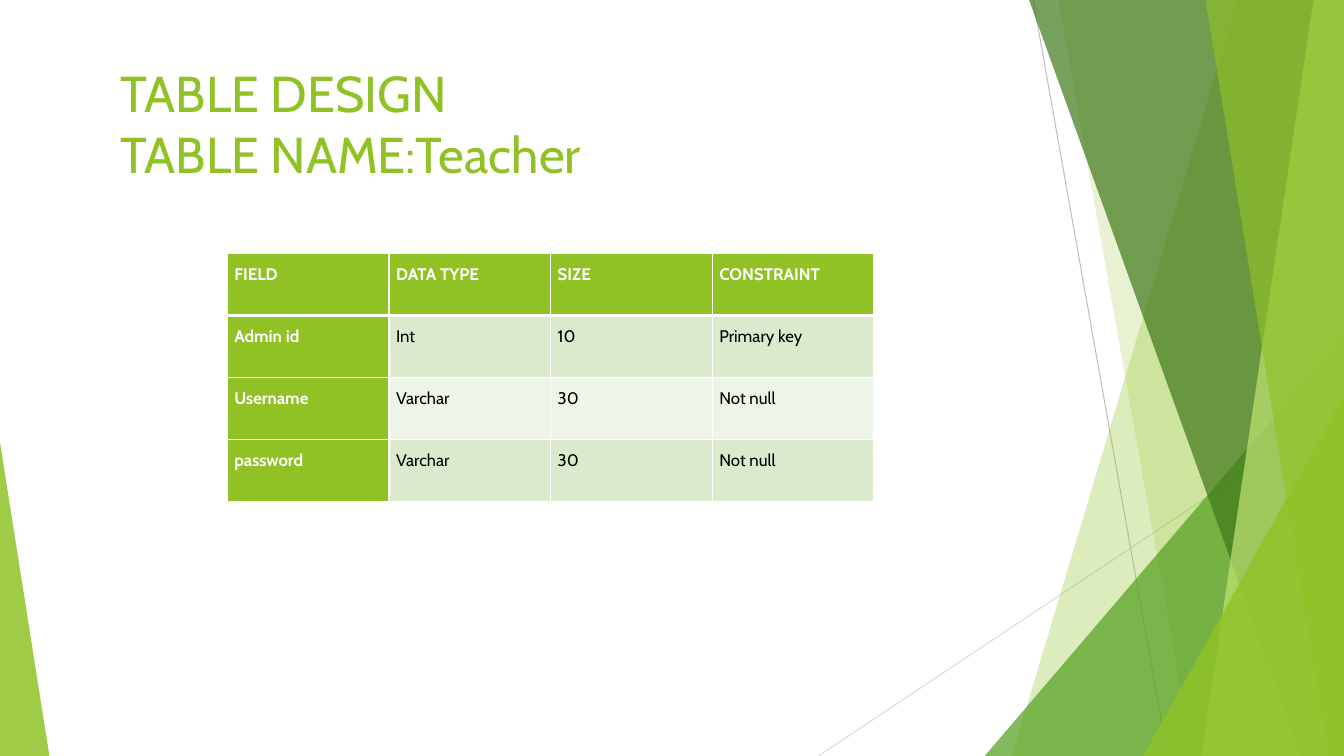
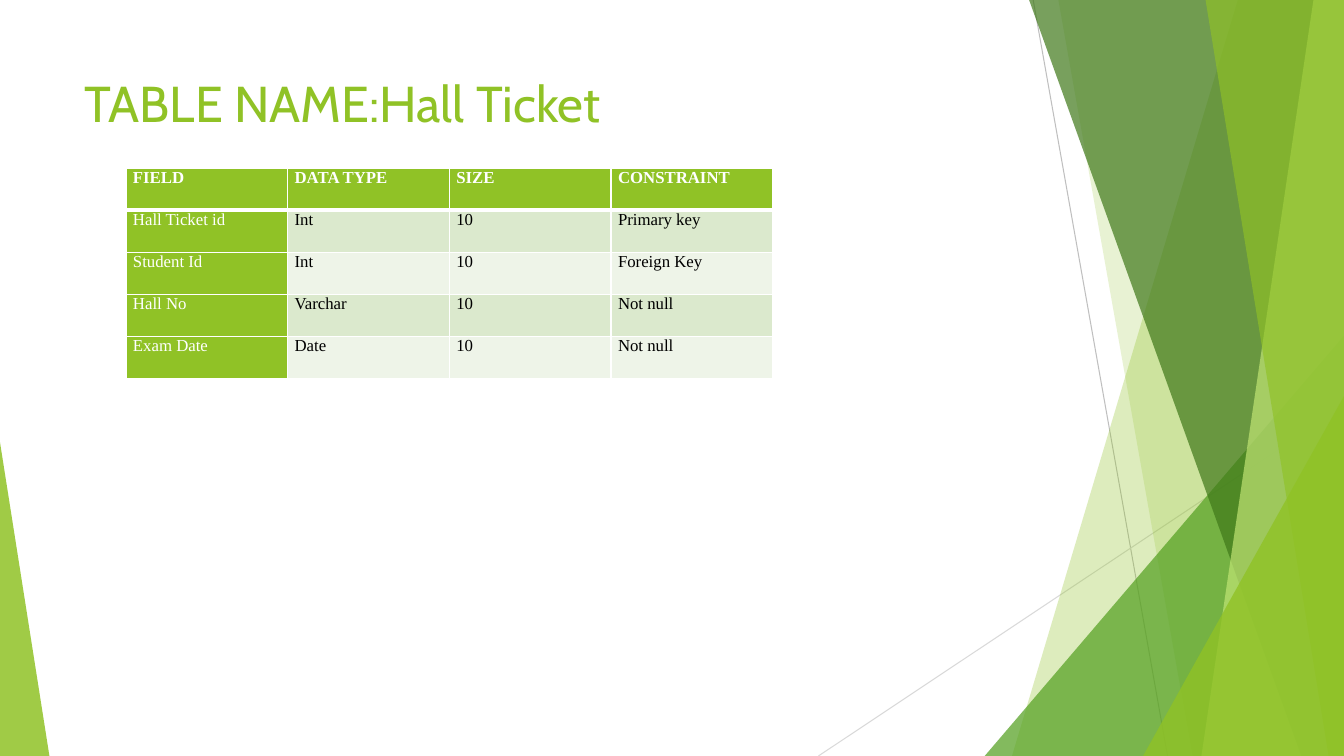
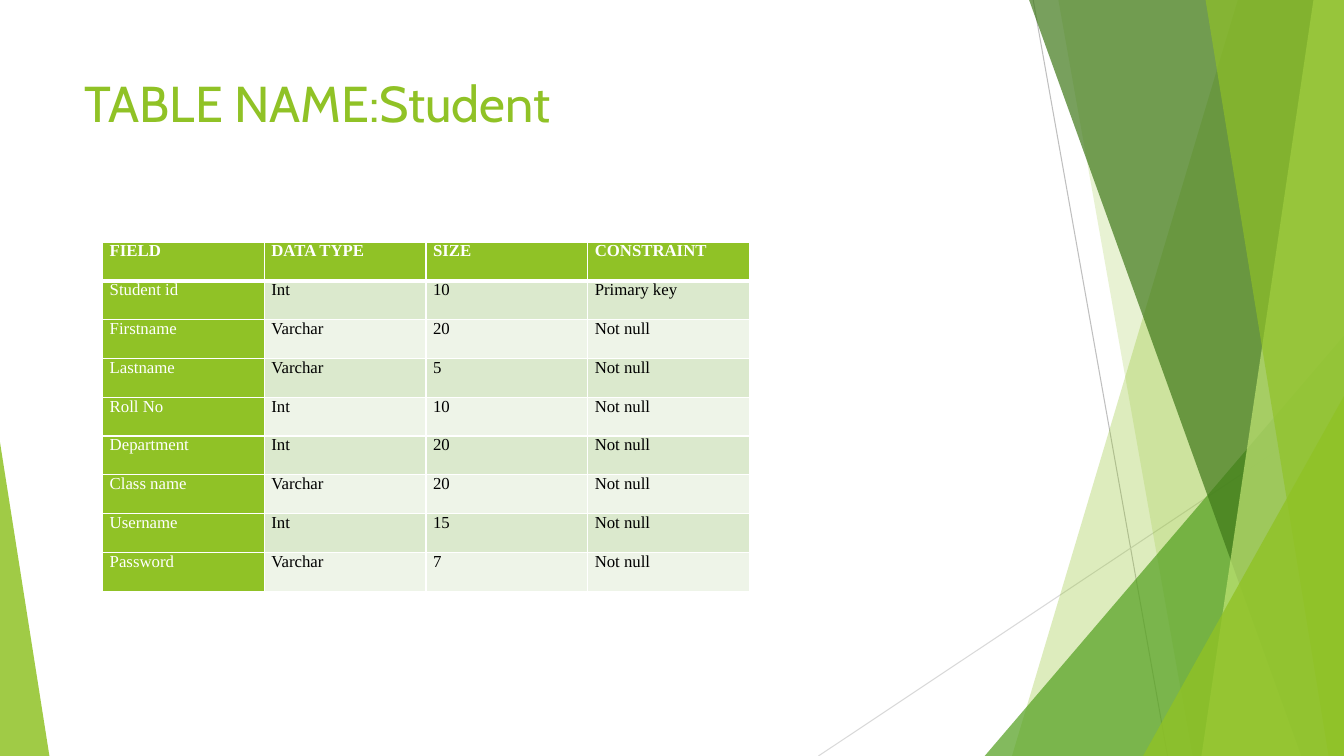
"""Build three slides that describe the tables of an exam database."""
from dataclasses import dataclass

from lxml import etree
from pptx import Presentation
from pptx.dml.color import RGBColor
from pptx.enum import shapes, text
from pptx.oxml import ns
from pptx.util import Pt


@dataclass(frozen=True)
class Theme:
    """Hold the colours, fonts and type sizes of the deck."""
    lime: str = "90C226"
    green: str = "54A021"
    forest: str = "3F7819"
    pale: str = "C0E474"
    band_dark: str = "DBE9CD"
    band_light: str = "EEF4E8"
    white: str = "FFFFFF"
    black: str = "000000"
    ray_dark: str = "BFBFBF"
    ray_light: str = "D9D9D9"
    sans: str = "Cabin"
    serif: str = "Times New Roman"
    title_size: int = 36
    cell_size: int = 12


THEME = Theme()
WIDTH, HEIGHT = 960, 540
COLUMN_WIDTH = 115.5
HEADINGS = ("FIELD", "DATA TYPE", "SIZE", "CONSTRAINT")

RAYS = (
    ((738, 0), (834, HEIGHT), THEME.ray_dark),
    ((WIDTH, 290), (584.6, HEIGHT), THEME.ray_light),
)
BACK_BANDS = ((884.2, 722.9, THEME.lime, 30), (756, 851.8, THEME.lime, 20))
FRONT_BANDS = (
    (735.1, 929.5, THEME.forest, 70),
    (938.2, 858.2, THEME.pale, 70),
    (861.1, 949, THEME.lime, 65),
)
BACK_CORNER = (703.4, 239.8, WIDTH, 1, THEME.green, 72)
FRONT_CORNERS = (
    (816.5, 283, WIDTH, 1, THEME.lime, 80),
    (0, 316, 35.3, 0, THEME.lime, 85),
)

TEACHER = (
    ("Admin id", "Int", "10", "Primary key"),
    ("Username", "Varchar", "30", "Not null"),
    ("password", "Varchar", "30", "Not null"),
)
HALL_TICKET = (
    ("Hall Ticket id", "Int", "10", "Primary key"),
    ("Student Id", "Int", "10", "Foreign Key"),
    ("Hall No", "Varchar", "10", "Not null"),
    ("Exam Date", "Date", "10", "Not null"),
)
STUDENT = (
    ("Student id", "Int", "10", "Primary key"),
    ("Firstname", "Varchar", "20", "Not null"),
    ("Lastname", "Varchar", "5", "Not null"),
    ("Roll No", "Int", "10", "Not null"),
    ("Department", "Int", "20", "Not null"),
    ("Class name", "Varchar", "20", "Not null"),
    ("Username", "Int", "15", "Not null"),
    ("Password", "Varchar", "7", "Not null"),
)

AIRY = {"line_spacing": 1.5, "space_after": Pt(10)}
CELL_FORMAT = {"margin_left": Pt(5), "margin_right": Pt(5), "margin_top": 0, "margin_bottom": 0}


def apply(target, values):
    """Set each attribute of the target from a dict."""
    for name, value in values.items():
        setattr(target, name, value)


def style_font(font, face, size, color, bold=False):
    """Give a font its face, size, colour and weight."""
    apply(font, {"name": face, "size": Pt(size), "bold": bold})
    font.color.rgb = RGBColor.from_string(color)


def paint(shape, color, opacity):
    """Fill a shape with a translucent colour, without line or shadow."""
    shape.shadow.inherit = False
    shape.line.fill.background()
    shape.fill.solid()
    shape.fill.fore_color.rgb = RGBColor.from_string(color)
    tint = shape.fill._xPr.find(".//" + ns.qn("a:srgbClr"))
    etree.SubElement(tint, ns.qn("a:alpha"), val=str(opacity * 1000))


def add_ray(slide, start, end, color):
    """Draw a thin straight line."""
    ray = slide.shapes.add_connector(
        shapes.MSO_CONNECTOR.STRAIGHT, *(Pt(value) for value in start + end))
    ray.line.width = Pt(0.75)
    ray.line.color.rgb = RGBColor.from_string(color)
    etree.SubElement(ray._element.spPr, ns.qn("a:effectLst"))


def add_band(slide, top_x, bottom_x, color, opacity):
    """Draw a full-height band with a slanted left side and a flush right side."""
    outline = slide.shapes.build_freeform(Pt(top_x), 0)
    corners = ((WIDTH, 0), (WIDTH, HEIGHT), (bottom_x, HEIGHT))
    outline.add_line_segments([(Pt(x), Pt(y)) for x, y in corners])
    paint(outline.convert_to_shape(), color, opacity)


def add_corner(slide, left, top, right, apex, color, opacity):
    """Draw a right triangle that stands on the bottom edge."""
    corner = slide.shapes.add_shape(
        shapes.MSO_SHAPE.ISOSCELES_TRIANGLE,
        Pt(left), Pt(top), Pt(right - left), Pt(HEIGHT - top))
    corner.adjustments[0] = apex
    paint(corner, color, opacity)


def add_backdrop(slide):
    """Draw the rays, bands and corners that every slide shares."""
    for ray in RAYS:
        add_ray(slide, *ray)
    for band in BACK_BANDS:
        add_band(slide, *band)
    add_corner(slide, *BACK_CORNER)
    for band in FRONT_BANDS:
        add_band(slide, *band)
    for corner in FRONT_CORNERS:
        add_corner(slide, *corner)


def add_title(slide, wording, left, top, width, height):
    """Write the slide title."""
    frame = slide.shapes.add_textbox(Pt(left), Pt(top), Pt(width), Pt(height)).text_frame
    apply(frame, {"word_wrap": True, "vertical_anchor": text.MSO_ANCHOR.TOP})
    heading = frame.paragraphs[0]
    heading.text = wording
    for run in heading.runs:
        style_font(run.font, THEME.sans, THEME.title_size, THEME.lime)
    style_font(heading.font, THEME.sans, THEME.title_size, THEME.lime)


def add_borders(cell, row):
    """Rule a cell in white, with a thick line below the header."""
    widths = {"L": 1, "R": 1, "T": 3 if row == 1 else 1, "B": 3 if row == 0 else 1}
    for side, width in widths.items():
        border = etree.SubElement(
            cell._tc.get_or_add_tcPr(), ns.qn("a:ln" + side), w=str(Pt(width)))
        fill = etree.SubElement(border, ns.qn("a:solidFill"))
        etree.SubElement(fill, ns.qn("a:srgbClr"), val=THEME.white)


def fill_cell(cell, wording, row, column, face, bold_fields, spacing):
    """Write and colour one cell by its place in the table."""
    is_label = row == 0 or column == 0
    band = THEME.band_dark if row % 2 else THEME.band_light
    apply(cell, CELL_FORMAT)
    add_borders(cell, row)
    cell.fill.solid()
    cell.fill.fore_color.rgb = RGBColor.from_string(THEME.lime if is_label else band)
    entry = cell.text_frame.paragraphs[0]
    apply(entry, spacing)
    run = entry.add_run()
    run.text = wording
    style_font(run.font, face, THEME.cell_size, THEME.white if is_label else THEME.black,
               row == 0 or (column == 0 and bold_fields))


def add_field_table(slide, fields, left, top, row_height, face, bold_fields=False, spacing=None):
    """Add the table of fields under its headings."""
    records = (HEADINGS,) + fields
    grid = slide.shapes.add_table(
        len(records), len(HEADINGS), Pt(left), Pt(top),
        Pt(COLUMN_WIDTH * len(HEADINGS)), Pt(row_height * len(records))).table
    grid.horz_banding = False
    for column in grid.columns:
        column.width = Pt(COLUMN_WIDTH)
    for row, record in enumerate(records):
        grid.rows[row].height = Pt(row_height)
        for column, wording in enumerate(record):
            fill_cell(grid.cell(row, column), wording, row, column,
                      face, bold_fields, spacing or {})


def add_slide(deck):
    """Add a blank slide with the shared backdrop."""
    slide = deck.slides.add_slide(deck.slide_layouts[6])
    add_backdrop(slide)
    return slide


def main():
    """Build and save the deck."""
    deck = Presentation()
    apply(deck, {"slide_width": Pt(WIDTH), "slide_height": Pt(HEIGHT)})

    teacher = add_slide(deck)
    add_title(teacher, "TABLE DESIGN\vTABLE NAME:Teacher", 79.2, 41, 733.7, 135.4)
    add_field_table(teacher, TEACHER, 162.4, 181.2, 44.25, THEME.sans, True, AIRY)

    hall_ticket = add_slide(deck)
    add_title(hall_ticket, "TABLE NAME:Hall Ticket", 53.3, 48.2, 676.8, 103.7)
    add_field_table(hall_ticket, HALL_TICKET, 90, 120.2, 30, THEME.serif)

    student = add_slide(deck)
    add_title(student, "TABLE NAME:Student", 53.3, 48.2, 676.8, 103.7)
    add_field_table(student, STUDENT, 73.4, 172.8, 27.75, THEME.serif)

    deck.save("out.pptx")


if __name__ == "__main__":
    main()
